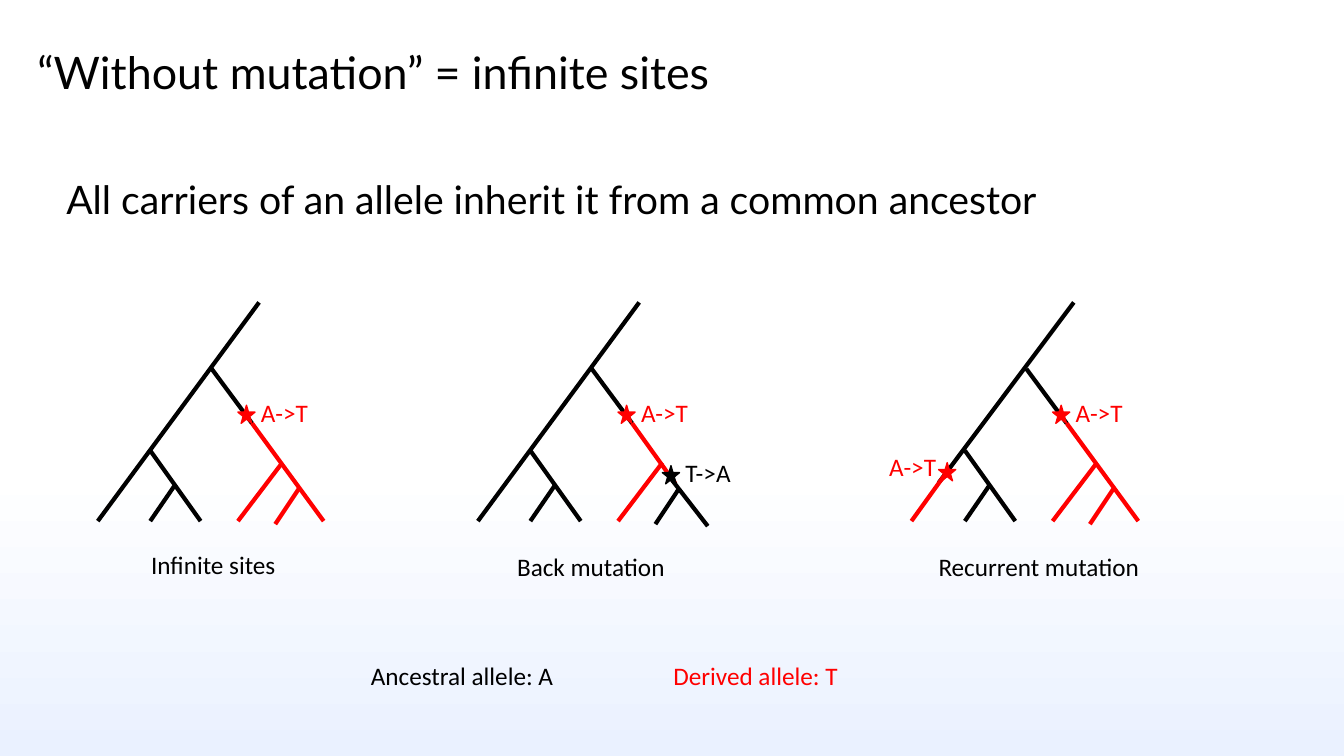
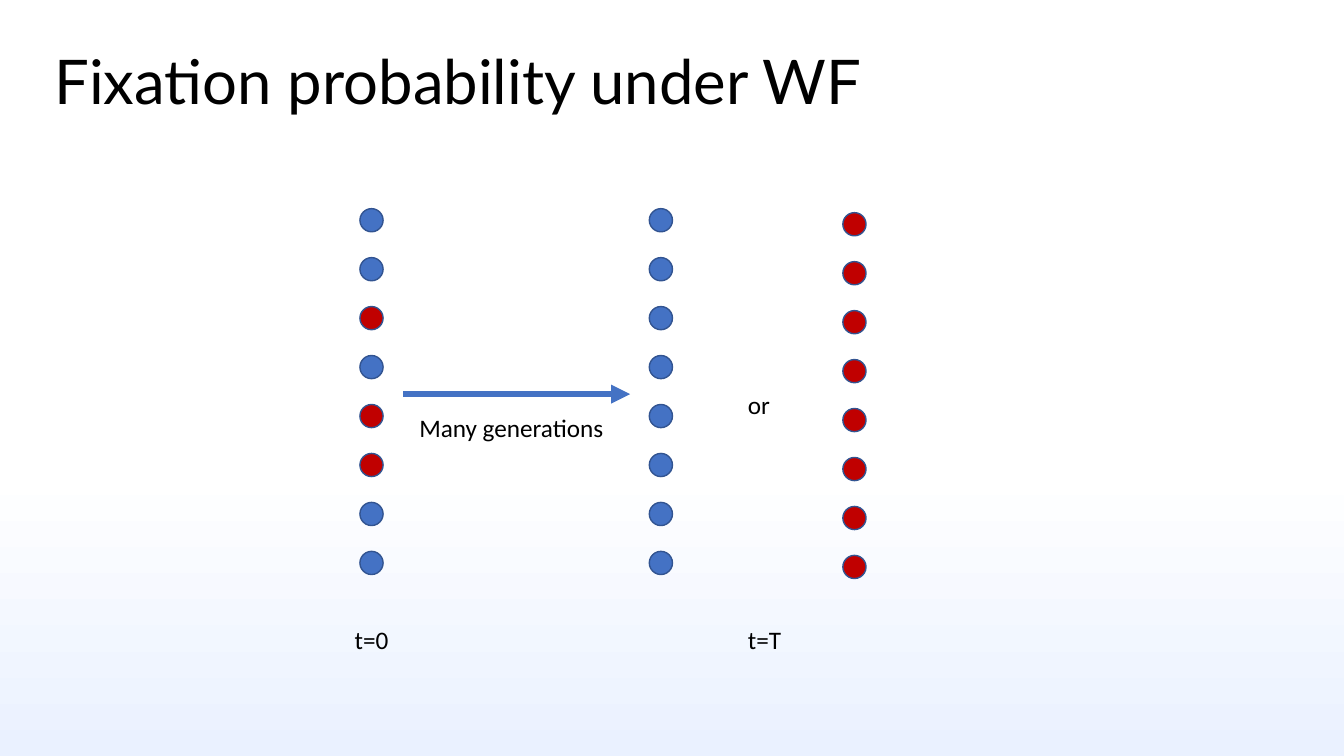
from lxml.etree import SubElement
from pptx import Presentation
from pptx.dml.color import RGBColor
from pptx.enum.shapes import MSO_CONNECTOR, MSO_SHAPE
from pptx.enum.text import MSO_ANCHOR, MSO_AUTO_SIZE, PP_ALIGN
from pptx.oxml.ns import qn
from pptx.util import Pt

PX = 9144
WIDE, HIGH = 1333, 750
STRAIGHT = MSO_CONNECTOR.STRAIGHT
STAR, DOT = MSO_SHAPE.STAR_5_POINT, MSO_SHAPE.OVAL
LEFT, MIDDLE = PP_ALIGN.LEFT, MSO_ANCHOR.MIDDLE
NONE, GROW = MSO_AUTO_SIZE.NONE, MSO_AUTO_SIZE.SHAPE_TO_FIT_TEXT

BLACK = RGBColor(0x00, 0x00, 0x00)
WHITE = RGBColor(0xFF, 0xFF, 0xFF)
PALE = RGBColor(0xEA, 0xF1, 0xFF)
RED = RGBColor(0xFF, 0x00, 0x00)
BLUE = RGBColor(0x44, 0x72, 0xC4)
CRIMSON = RGBColor(0xC0, 0x00, 0x00)
NAVY = RGBColor(0x32, 0x54, 0x91)
HEAD, BODY = "Lato", "Calibri"

CLAIM = "All carriers of an allele inherit it from a common ancestor"
KEY = [("Ancestral allele: A", 358, 202, BLACK), ("Derived allele: T", 658, 188, RED)]

TOP = 300
BRANCHES = [
    ((-47, 66), (-7, 120), BLACK),
    ((-108, 147), (-58, 217), BLACK),
    ((-84, 182), (-108, 217), BLACK),
    ((23, 159), (-21, 217), RED),
]
TRUNK = ((0, 0), (-160, 217), BLACK)
LIMB = ((-7, 120), (64, 217), RED)
TWIG = ((40, 184), (16, 220))
FIRST = ("A->T", (-21, 102), (-8, 89), RED)
TREES = [
    {"root": 257, "name": ("Infinite sites", 140, 540, 145),
     "lines": [TRUNK, LIMB, (*TWIG, RED)],
     "marks": [FIRST]},
    {"root": 634, "name": ("Back mutation", 503, 542, 168),
     "lines": [TRUNK, ((-7, 120), (36, 180), RED), (*TWIG, BLACK),
               ((30, 173), (68, 222), BLACK)],
     "marks": [FIRST, ("T->A", (23, 162), (36, 149), BLACK)]},
    {"root": 1065, "name": ("Recurrent mutation", 921, 542, 221),
     "lines": [((0, 0), (-134, 179), BLACK), LIMB, (*TWIG, RED),
               ((-125, 167), (-161, 217), RED)],
     "marks": [FIRST, ("A->T", (-134, 159), (-193, 143), RED)]},
]

SIZE, SPAN = 23, 340
COLUMNS = [("BBRBRRBB", 357, 207), ("BBBBBBBB", 644, 207), ("RRRRRRRR", 836, 211)]
ALLELES = {"B": BLUE, "R": CRIMSON}
NOTES = [("Many generations", 406, 404, 212), ("or", 732, 381, 42),
         ("t=0", 342, 614, 54), ("t=T", 732, 614, 54)]


def px(*nums):
    return [round(n * PX) for n in nums]


def style(part, size, font, color):
    part.font.size = Pt(size)
    part.font.name = font
    part.font.color.rgb = color


def start(deck, title, box, size):
    slide = deck.slides.add_slide(deck.slide_layouts[5])
    head = slide.shapes.title
    head.left, head.top, head.width, head.height = px(*box)
    frame = head.text_frame
    frame.text = title
    frame.auto_size = NONE
    frame.vertical_anchor = MIDDLE
    part = frame.paragraphs[0]
    part.alignment = LEFT
    part.line_spacing = 0.9
    style(part, size, HEAD, BLACK)
    return slide


def write(slide, text, x, y, w, color=BLACK, wrap=False):
    frame = slide.shapes.add_textbox(*px(x, y, w, 40)).text_frame
    frame.text = text
    frame.word_wrap = wrap
    frame.auto_size = GROW
    style(frame.paragraphs[0], 18, BODY, color)
    return frame


def draw(slide, a, b, color, width=3, arrow=False):
    line = slide.shapes.add_connector(STRAIGHT, *px(*a, *b))
    line.line.color.rgb = color
    line.line.width = Pt(width)
    props = line._element.spPr
    if arrow:
        SubElement(props.find(qn("a:ln")), qn("a:tailEnd"), type="triangle")
    SubElement(props, qn("a:effectLst"))


def place(slide, kind, box, fill, edge):
    shape = slide.shapes.add_shape(kind, *px(*box))
    shape.shadow.inherit = False
    shape.fill.solid()
    shape.fill.fore_color.rgb = fill
    shape.line.color.rgb = edge
    shape.line.width = Pt(1)


def grow(slide, tree):
    def at(spot):
        return tree["root"] + spot[0], TOP + spot[1]

    for a, b, color in BRANCHES + tree["lines"]:
        draw(slide, at(a), at(b), color)
    for text, star, label, color in tree["marks"]:
        place(slide, STAR, (*at(star), 17, 18), color, color)
        write(slide, text, *at(label), 98, color, True)
    write(slide, *tree["name"])


def sites(deck):
    slide = start(deck, "“Without mutation” = infinite sites", (27, 10, 1150, 128), 32)
    claim = write(slide, CLAIM, 56, 174, 1254, wrap=True).paragraphs[0]
    claim.line_spacing = 0.9
    style(claim, 28, HEAD, BLACK)
    for tree in TREES:
        grow(slide, tree)
    for text, x, w, color in KEY:
        write(slide, text, x, 650, w, color)


def fixing(deck):
    slide = start(deck, "Fixation probability under WF", (44, 32, 1150, 104), 44)
    for genes, x, y in COLUMNS:
        step = SPAN / (len(genes) - 1)
        for i, gene in enumerate(genes):
            place(slide, DOT, (x, y + i * step, SIZE, SIZE), ALLELES[gene], NAVY)
    draw(slide, (400, 391), (625, 391), BLUE, 4.5, True)
    for note in NOTES:
        write(slide, *note)


def main():
    deck = Presentation()
    deck.slide_width, deck.slide_height = px(WIDE, HIGH)
    fill = deck.slide_master.background.fill
    fill.gradient()
    fill.gradient_angle = 270
    for stop, place_at, color in zip(fill.gradient_stops, (0.62, 1), (WHITE, PALE)):
        stop.position = place_at
        stop.color.rgb = color
    sites(deck)
    fixing(deck)
    deck.save("out.pptx")


if __name__ == "__main__":
    main()
